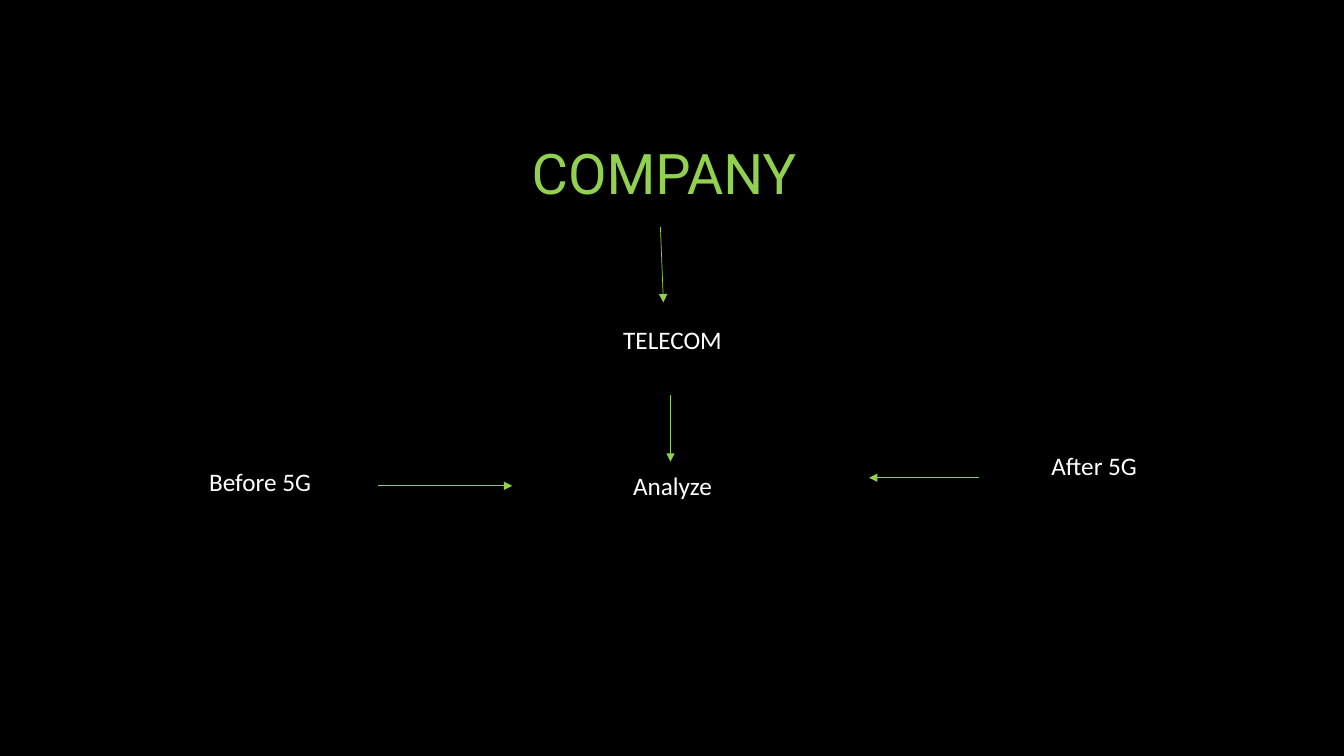
from dataclasses import dataclass

from lxml import etree
from pptx import Presentation
from pptx.dml.color import RGBColor
from pptx.enum.shapes import MSO_CONNECTOR
from pptx.enum.text import MSO_AUTO_SIZE, PP_ALIGN
from pptx.oxml.ns import qn
from pptx.slide import Slide
from pptx.util import Inches, Pt

STRAIGHT = MSO_CONNECTOR.STRAIGHT
GROW = MSO_AUTO_SIZE.SHAPE_TO_FIT_TEXT
CENTER, LEFT = PP_ALIGN.CENTER, PP_ALIGN.LEFT


@dataclass(frozen=True)
class Theme:
    back: RGBColor = RGBColor(0x00, 0x00, 0x00)
    green: RGBColor = RGBColor(0x92, 0xD0, 0x50)
    white: RGBColor = RGBColor(0xFF, 0xFF, 0xFF)
    head: Pt = Pt(40)
    body: Pt = Pt(18)
    line: Pt = Pt(0.5)


THEME = Theme()
HEAD = {"name": "Roboto", "size": THEME.head}
BODY = {"name": "Calibri", "size": THEME.body}


@dataclass(frozen=True)
class Label:
    text: str
    left: float
    top: float
    width: float
    height: float = 0.4
    align: PP_ALIGN = CENTER
    color: RGBColor = THEME.white
    heading: bool = False


@dataclass(frozen=True)
class Arrow:
    start: tuple[float, float]
    end: tuple[float, float]


LABELS = [
    Label("COMPANY", 4, 1.33, 5.17, 0.77, color=THEME.green, heading=True),
    Label("TELECOM", 5.31, 3.17, 2.72),
    Label("Before 5G", 1.58, 4.58, 2),
    Label("Analyze", 5.49, 4.62, 2.36),
    Label("After 5G", 10.33, 4.42, 2, align=LEFT),
]

ARROWS = [
    Arrow((6.55, 2.25), (6.58, 3)),
    Arrow((3.75, 4.82), (5.08, 4.82)),
    Arrow((9.71, 4.74), (8.62, 4.74)),
    Arrow((6.65, 3.92), (6.65, 4.58)),
]


def add_label(slide: Slide, label: Label) -> None:
    area = (label.left, label.top, label.width, label.height)
    frame = slide.shapes.add_textbox(*map(Inches, area)).text_frame
    frame.word_wrap = True
    frame.auto_size = GROW
    para = frame.paragraphs[0]
    para.alignment = label.align
    run = para.add_run()
    run.text = label.text
    for key, value in (HEAD if label.heading else BODY).items():
        setattr(run.font, key, value)
    run.font.color.rgb = label.color


def add_arrow(slide: Slide, arrow: Arrow) -> None:
    ends = map(Inches, arrow.start + arrow.end)
    link = slide.shapes.add_connector(STRAIGHT, *ends)
    link.line.width = THEME.line
    link.line.color.rgb = THEME.green
    props = link.element.spPr
    etree.SubElement(props.find(qn("a:ln")), qn("a:tailEnd"), type="triangle")
    etree.SubElement(props, qn("a:effectLst"))


def main() -> None:
    deck = Presentation()
    deck.slide_width = Inches(13.33)
    deck.slide_height = Inches(7.5)
    slide = deck.slides.add_slide(deck.slide_layouts[6])
    fill = slide.background.fill
    fill.solid()
    fill.fore_color.rgb = THEME.back
    for label in LABELS:
        add_label(slide, label)
    for arrow in ARROWS:
        add_arrow(slide, arrow)
    deck.save("out.pptx")


if __name__ == "__main__":
    main()
